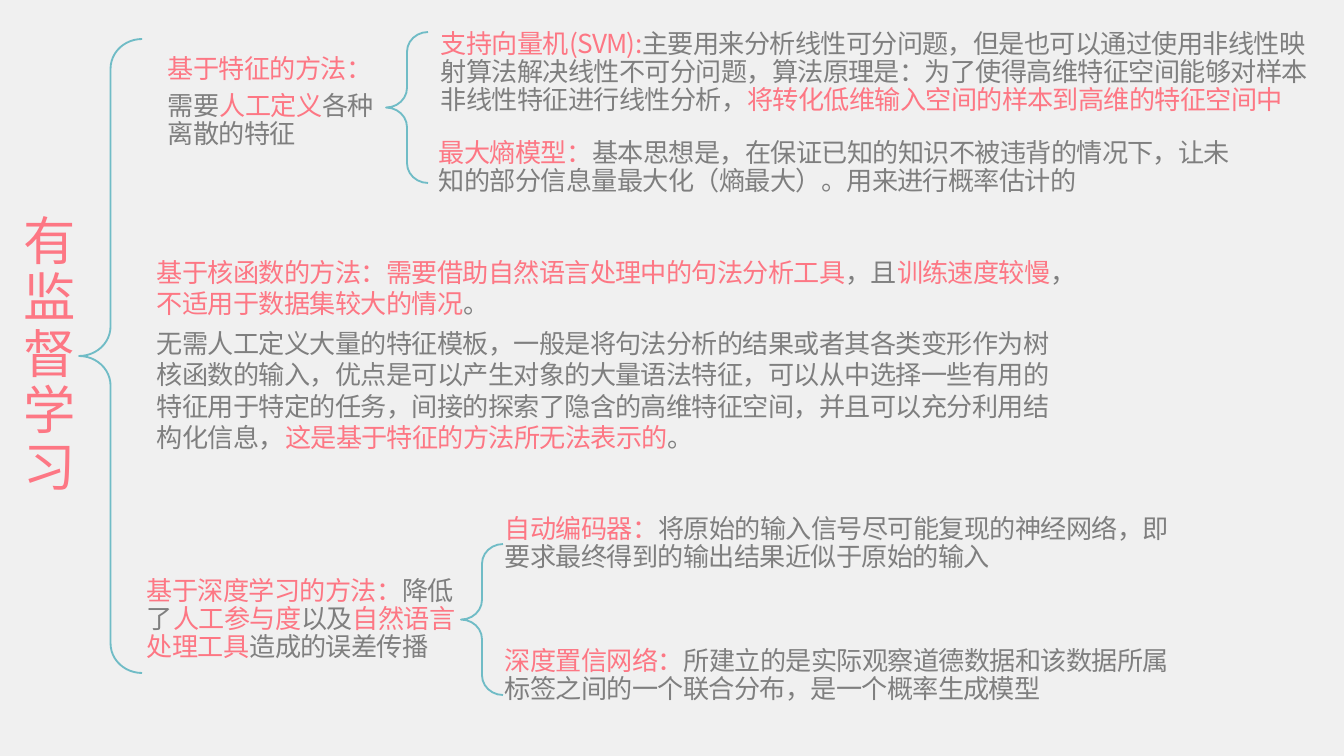
from lxml.etree import SubElement
from pptx import Presentation
from pptx.dml.color import RGBColor
from pptx.enum.shapes import MSO_SHAPE as Shape
from pptx.enum.text import MSO_ANCHOR as Anchor, MSO_AUTO_SIZE as AutoSize
from pptx.oxml.ns import qn
from pptx.util import Pt

PX = 914400 / 134.4
FONT = "Noto Sans CJK SC"
PAPER = RGBColor(0xF0, 0xF0, 0xF0)
PINK = RGBColor(0xFD, 0x77, 0x84)
GRAY = RGBColor(0x7F, 0x7F, 0x7F)
TEAL = RGBColor(0x70, 0xBC, 0xC6)

# Text between asterisks is pink, the rest is gray.
TITLE = ((24, 214, 40, 285), ["*有监督学习*"])
KERNEL = ((157, 255, 911, 199), [
    "*基于核函数的方法：需要借助自然语言处理中的句法分析工具*，且*训练速度较慢*，"
    "*不适用于数据集较大的情况*。",
    "无需人工定义大量的特征模板，一般是将句法分析的结果或者其各类变形作为树核函数的输入，"
    "优点是可以产生对象的大量语法特征，可以从中选择一些有用的特征用于特定的任务，"
    "间接的探索了隐含的高维特征空间，并且可以充分利用结构化信息，"
    "*这是基于特征的方法所无法表示的*。",
])
NOTES = [
    ((168, 55, 222, 95), ["*基于特征的方法：*", "需要*人工定义*各种离散的特征"]),
    ((147, 577, 317, 86), [
        "*基于深度学习的方法：*降低了*人工参与度*以及*自然语言处理工具*造成的误差传播"]),
    ((441, 30, 888, 86), [
        "*支持向量机(SVM):*主要用来分析线性可分问题，但是也可以通过使用非线性映射算法"
        "解决线性不可分问题，算法原理是：为了使得高维特征空间能够对样本非线性特征进行线性分析，"
        "*将转化低维输入空间的样本到高维的特征空间中*"]),
    ((439, 140, 794, 56), [
        "*最大熵模型：*基本思想是，在保证已知的知识不被违背的情况下，"
        "让未知的部分信息量最大化（熵最大）。用来进行概率估计的"]),
    ((505, 516, 685, 56), [
        "*自动编码器：*将原始的输入信号尽可能复现的神经网络，"
        "即要求最终得到的输出结果近似于原始的输入"]),
    ((505, 648, 685, 56), [
        "*深度置信网络：*所建立的是实际观察道德数据和该数据所属标签之间的一个联合分布，"
        "是一个概率生成模型"]),
]
BRACES = [(79, 39, 63, 634), (386, 32, 42, 151), (461, 544, 42, 151)]


def emu(lengths):
    return [round(length * PX) for length in lengths]


def add_text(page, place, lines, size=14, line_spacing=0.9):
    frame = page.shapes.add_textbox(*emu(place)).text_frame
    frame.word_wrap = True
    frame.auto_size = AutoSize.SHAPE_TO_FIT_TEXT
    frame.vertical_anchor = Anchor.MIDDLE
    frame.margin_left = frame.margin_right = frame.margin_top = frame.margin_bottom = 0
    for index, line in enumerate(lines):
        para = frame.add_paragraph() if index else frame.paragraphs[0]
        para.line_spacing = line_spacing
        para.space_after = Pt(4.6)
        for part, words in enumerate(line.split("*")):
            if words:
                span = para.add_run()
                span.text = words
                span.font.size = Pt(size)
                span.font.color.rgb = PINK if part % 2 else GRAY
                span.font.name = FONT
                props = span._r.get_or_add_rPr()
                props.set("spc", "-40")
                SubElement(props, qn("a:ea")).set("typeface", FONT)


def add_brace(page, place):
    brace = page.shapes.add_shape(Shape.RIGHT_BRACE, *emu(place))
    brace.rotation = 180
    brace.adjustments[0] = 0.47
    brace.adjustments[1] = 0.5
    brace.shadow.inherit = False
    brace.fill.background()
    brace.line.color.rgb = TEAL
    brace.line.width = Pt(1)


def main():
    """Build the slide on supervised learning methods."""
    deck = Presentation()
    deck.slide_width, deck.slide_height = emu((1344, 756))
    page = deck.slides.add_slide(deck.slide_layouts[6])
    page.background.fill.solid()
    page.background.fill.fore_color.rgb = PAPER
    for place in BRACES:
        add_brace(page, place)
    add_text(page, *TITLE, size=28)
    add_text(page, *KERNEL, line_spacing=1.0)
    for place, lines in NOTES:
        add_text(page, place, lines)
    deck.save("out.pptx")


if __name__ == "__main__":
    main()
